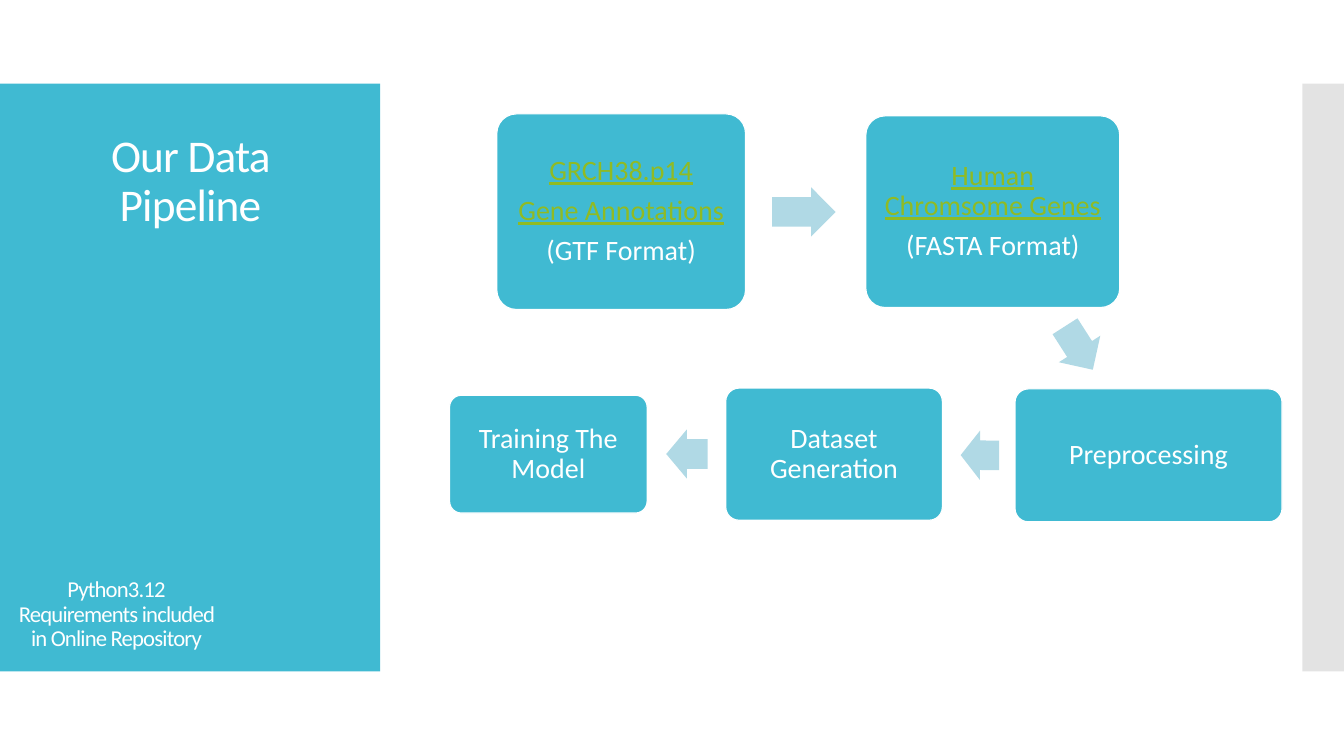
"""Build the data pipeline slide: a title panel beside five steps joined by block arrows."""
from lxml.etree import SubElement
from pptx import Presentation
from pptx.dml.color import RGBColor
from pptx.enum.shapes import MSO_SHAPE as Preset
from pptx.enum.text import MSO_ANCHOR as Anchor, PP_ALIGN as Align
from pptx.oxml.ns import qn
from pptx.util import Cm, Pt

TEAL = RGBColor(0x40, 0xBA, 0xD2)
PALE_BLUE = RGBColor(0xB0, 0xD9, 0xE5)
GREY = RGBColor(0xC8, 0xC8, 0xC8)
GREEN = RGBColor(0x90, 0xBB, 0x23)
WHITE = RGBColor(0xFF, 0xFF, 0xFF)


def add_block(preset, bounds, fill):
    block = slide.shapes.add_shape(preset, *map(Cm, bounds))
    block.shadow.inherit = False
    block.fill.solid()
    block.fill.fore_color.rgb = fill
    block.line.fill.background()
    return block


def write_text(frame, text, size=20, after=0, spacing=0, linked=0):
    """Write one paragraph per line; the first `linked` lines look like links."""
    frame.word_wrap = True
    frame.vertical_anchor = Anchor.MIDDLE
    for index, line in enumerate(text.split("\n")):
        paragraph = frame.add_paragraph() if index else frame.paragraphs[0]
        paragraph.alignment = Align.CENTER
        paragraph.line_spacing = 0.9
        paragraph.space_before = Pt(0)
        paragraph.space_after = Pt(after)
        run = paragraph.add_run()
        run.text = line
        run.font.name = "Calibri"
        run.font.size = Pt(size)
        run.font.color.rgb = GREEN if index < linked else WHITE
        run.font.underline = index < linked
        if spacing:
            run.font._element.set("spc", str(spacing))


deck = Presentation()
deck.slide_width, deck.slide_height = Cm(33.87), Cm(19.05)
slide = deck.slides.add_slide(deck.slide_layouts[6])

add_block(Preset.RECTANGLE, (0, 2.11, 9.58, 14.81), TEAL)
side_strip = add_block(Preset.RECTANGLE, (32.82, 2.11, 1.05, 14.81), GREY)
strip_color = side_strip.fill._xPr.find(qn("a:solidFill"))[0]
SubElement(strip_color, qn("a:alpha"), val="50000")

captions = [
    ("Our Data Pipeline", (0.71, 3.12, 8.18, 2.95), 32.4),
    ("Python3.12\nRequirements included in Online Repository", (0.05, 14.33, 5.77, 2.34), 16.2),
]
for text, bounds, size in captions:
    caption = slide.shapes.add_textbox(*map(Cm, bounds))
    write_text(caption.text_frame, text, size=size, spacing=-60)

steps = [
    ("GRCH38.p14\nGene Annotations\n(GTF Format)", (12.52, 2.87, 6.27, 4.93), 2),
    ("Human Chromsome Genes\n(FASTA Format)", (21.82, 2.92, 6.4, 4.83), 1),
    ("Preprocessing", (25.58, 9.8, 6.73, 3.35), 0),
    ("Dataset Generation", (18.29, 9.78, 5.46, 3.33), 0),
    ("Training The Model", (11.33, 9.96, 4.98, 2.97), 0),
]
for text, bounds, linked in steps:
    step = add_block(Preset.ROUNDED_RECTANGLE, bounds, TEAL)
    step.adjustments[0] = 0.1
    step.line.color.rgb = WHITE
    step.line.width = Pt(0.85)
    frame = step.text_frame
    frame.margin_left = frame.margin_right = frame.margin_top = frame.margin_bottom = Cm(0.2)
    write_text(frame, text, after=7, linked=linked)

arrows = [
    (19.46, 4.72, 1.6, 0.1),
    (26.54, 8.15, 1.3, 57.4),
    (24.21, 10.85, 0.97, 180.3),
    (16.79, 10.82, 1.04, 180),
]
for left, top, length, angle in arrows:
    arrow = add_block(Preset.RIGHT_ARROW, (left, top, length, 1.24), PALE_BLUE)
    arrow.adjustments[0] = 0.6
    arrow.adjustments[1] = 0.5
    arrow.rotation = angle

deck.save("out.pptx")
